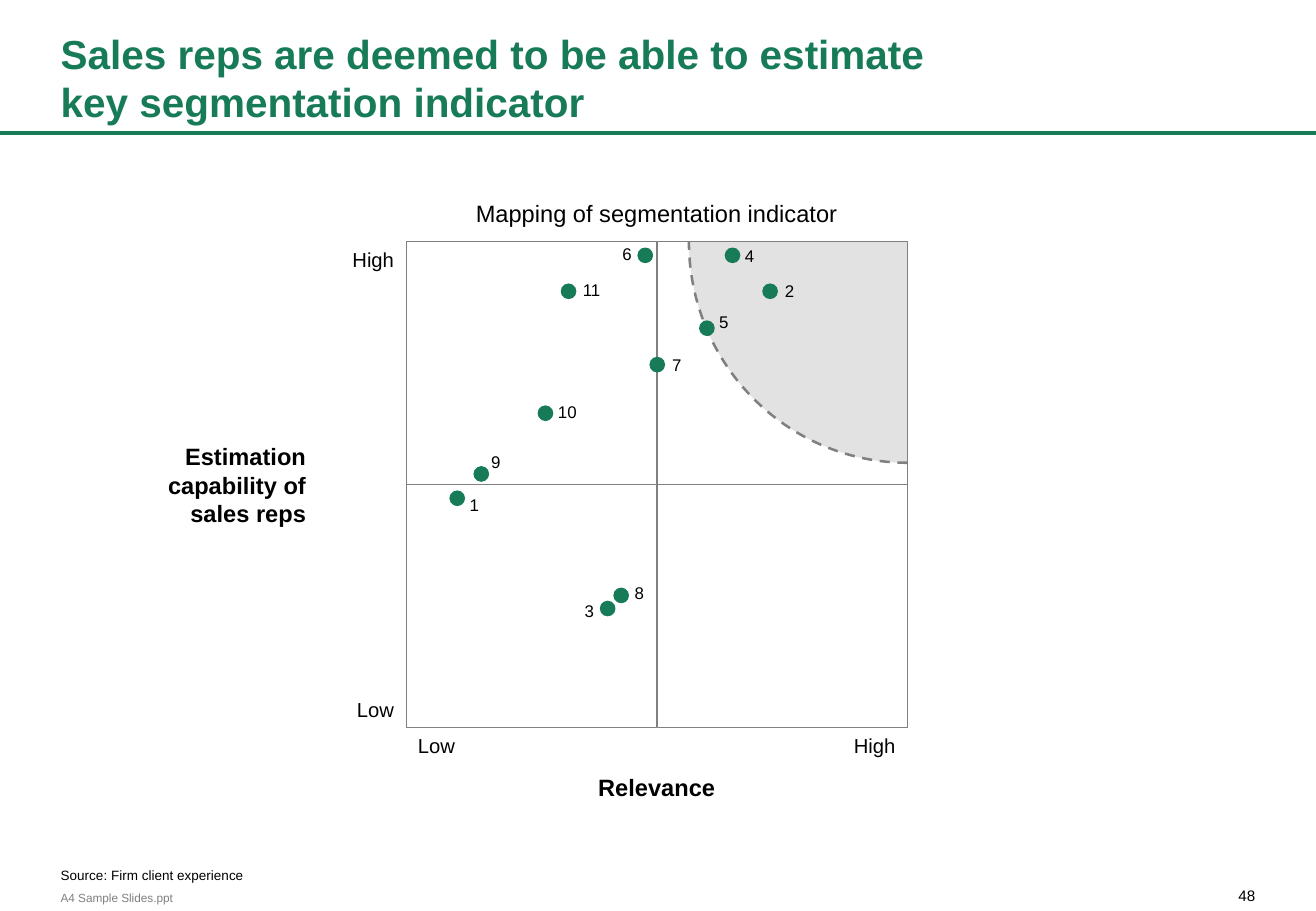
"""Builds the slide that maps segmentation indicators by relevance and estimation capability."""
from itertools import product

from lxml.etree import SubElement
from pptx import Presentation
from pptx.dml.color import RGBColor
from pptx.enum.dml import MSO_LINE
from pptx.enum.shapes import MSO_CONNECTOR, MSO_SHAPE
from pptx.enum.text import MSO_ANCHOR, PP_ALIGN
from pptx.oxml.ns import qn
from pptx.util import Inches, Pt

GREEN = RGBColor(0x17, 0x7B, 0x57)
GREY = RGBColor(0x80, 0x80, 0x80)
PALE = RGBColor(0xE2, 0xE2, 0xE2)
BLACK = RGBColor(0, 0, 0)
LEFT, MID, RIGHT = PP_ALIGN.LEFT, PP_ALIGN.CENTER, PP_ALIGN.RIGHT
TOP, HALF, LOW = MSO_ANCHOR.TOP, MSO_ANCHOR.MIDDLE, MSO_ANCHOR.BOTTOM

UNIT = Inches(0.1)
COLS, ROWS = 108.4, 75
MARGIN, BODY = 5, 98.4

deck = Presentation()
deck.slide_width, deck.slide_height = int(COLS * UNIT), ROWS * UNIT
slide = deck.slides.add_slide(deck.slide_layouts[6])
shapes = slide.shapes


def grid(*cells):
    return [round(cell * UNIT) for cell in cells]


def text(words, *cells, size=12, bold=False, color=BLACK, align=LEFT,
         anchor=TOP, pad=(0, 0), wrap=False):
    frame = shapes.add_textbox(*grid(*cells)).text_frame
    frame.word_wrap = wrap
    frame.vertical_anchor = anchor
    frame.margin_left = frame.margin_right = Inches(pad[0])
    frame.margin_top = frame.margin_bottom = Inches(pad[1])
    para = frame.paragraphs[0]
    para.text = words
    para.alignment = align
    font = para.font
    font.name, font.size, font.bold = "Arial", Pt(size), bold
    font.color.rgb = color
    return para


text("48", 100.4, 73, 3, 1.5, size=9, align=RIGHT)
text("A4 Sample Slides.ppt", MARGIN, 73.3, 12, 1.2, size=7, color=GREY, anchor=HALF)
rule = shapes.add_connector(MSO_CONNECTOR.STRAIGHT, *grid(COLS, 10.95, 0, 10.95))
rule.line.color.rgb, rule.line.width = GREEN, Pt(2.25)
SubElement(rule.element.spPr, qn("a:effectLst"))
text("Sales reps are deemed to be able to estimate\vkey segmentation indicator",
     MARGIN, 1.75, BODY, 9.1, size=24, bold=True, color=GREEN, anchor=LOW,
     pad=(0, 0.05), wrap=True)

left, top, wide, tall = 33.45, 19.9, 41.3, 40
right, base = left + wide, top + tall
cell_w, cell_h = wide / 2, tall / 2

rad_x, rad_y = 18, 18.2
zone = shapes.add_shape(
    MSO_SHAPE.ARC, *grid(right - rad_x, top - rad_y, 2 * rad_x, 2 * rad_y))
zone.adjustments[0], zone.adjustments[1] = 54, 108
zone.shadow.inherit = False
zone.fill.solid()
zone.fill.fore_color.rgb = PALE
zone.line.color.rgb, zone.line.width = GREY, Pt(1.5)
zone.line.dash_style = MSO_LINE.DASH

for col, row in product(range(2), repeat=2):
    box = shapes.add_shape(
        MSO_SHAPE.RECTANGLE,
        *grid(left + col * cell_w, top + row * cell_h, cell_w, cell_h))
    box.shadow.inherit = False
    box.fill.background()
    box.line.color.rgb, box.line.width = GREY, Pt(0.25)

tag_w, tag_h, pad = 6, 3.3, (0.1, 0.05)
text("Low", left, base, tag_w, tag_h, pad=pad)
text("High", right - tag_w, base, tag_w, tag_h, align=RIGHT, pad=pad)
text("Low", left - tag_w, base - tag_h, tag_w, tag_h, align=RIGHT, anchor=LOW, pad=pad)
text("High", left - tag_w, top, tag_w, tag_h, align=RIGHT, pad=pad)
text("Relevance", left, base + tag_h, wide, tag_h, size=14, bold=True,
     align=MID, anchor=LOW, pad=pad)
text("Estimation\vcapability of\vsales reps", 11.2, 35.9, 15, 8, size=14, bold=True,
     align=RIGHT, anchor=HALF, pad=pad, wrap=True)
text("Mapping of segmentation indicator", left, 15.8, wide, 3.4, size=14,
     align=MID, anchor=LOW, pad=pad)

dots = [
    ("1", 1.02, 5.28, 1.4, 0.5),
    ("3", 4.02, 7.55, -1.5, 0.2),
    ("10", 2.78, 3.53, 1.8, -0.1),
    ("8", 4.29, 7.28, 1.5, -0.2),
    ("9", 1.5, 4.78, 1.2, -1),
    ("11", 3.24, 1.02, 1.9, -0.1),
    ("6", 4.77, 0.28, -1.5, -0.1),
    ("7", 5.01, 2.53, 1.6, 0),
    ("5", 6, 1.78, 1.4, -0.5),
    ("2", 7.26, 1.02, 1.6, 0),
    ("4", 6.51, 0.28, 1.4, 0),
]
size, line_h = 1.2, 1.7
for name, across, down, shift, drop in dots:
    x, y = left + across * wide / 10, top + down * tall / 10
    dot = shapes.add_shape(
        MSO_SHAPE.OVAL, *grid(x - size / 2, y - size / 2, size, size))
    dot.shadow.inherit = False
    dot.fill.solid()
    dot.fill.fore_color.rgb = GREEN
    dot.line.color.rgb, dot.line.width = GREEN, Pt(0.62)
    name_w = len(name)
    text(name, x + shift - name_w / 2, y + drop - line_h / 2, name_w, line_h,
         size=10, align=MID, anchor=HALF)

source = text("Source: Firm client experience", MARGIN, 69.15, BODY, 3.6, size=8,
              anchor=LOW, wrap=True)
source.line_spacing = 0.9

deck.save("out.pptx")
